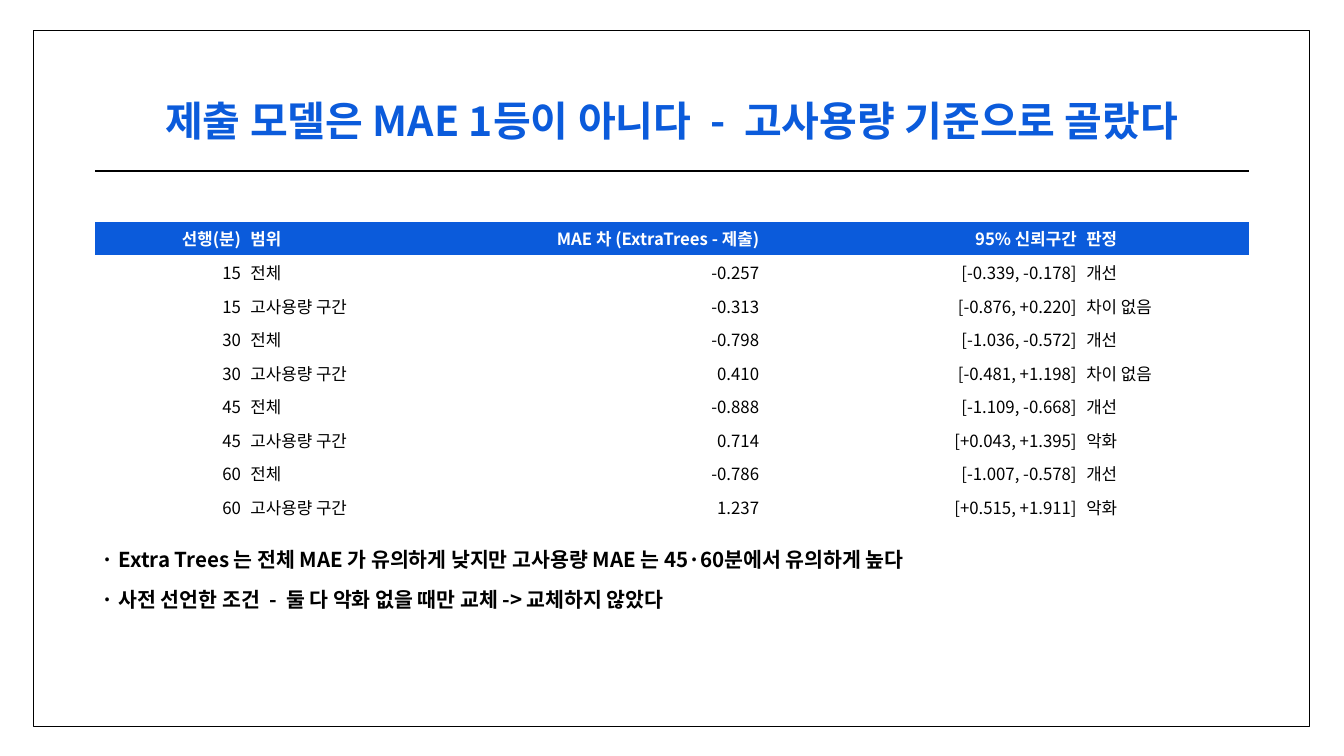
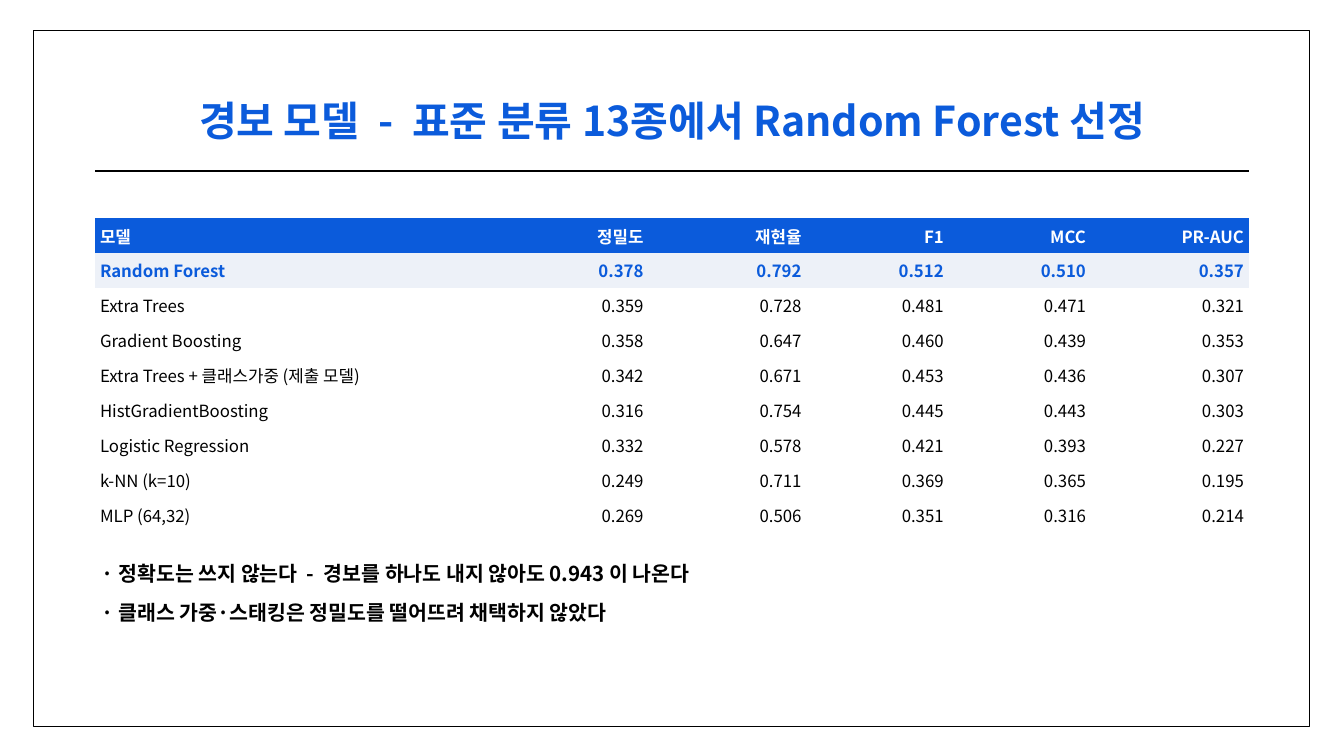
from lxml.etree import SubElement
from pptx import Presentation
from pptx.dml.color import RGBColor
from pptx.enum.shapes import MSO_CONNECTOR as CONN, MSO_SHAPE as SHAPE
from pptx.enum.text import MSO_ANCHOR as ANCHOR, MSO_AUTO_SIZE as AUTO, PP_ALIGN as ALIGN
from pptx.oxml.ns import qn
from pptx.util import Cm, Pt

BLUE = RGBColor(0x0B, 0x5B, 0xDB)
PALE = RGBColor(0xED, 0xF1, 0xF8)
BLACK = RGBColor(0, 0, 0)
WHITE = RGBColor(0xFF, 0xFF, 0xFF)
FONT = "Noto Sans CJK KR"
NO_STYLE = "{2D5ABB26-0587-4C30-8999-92F81FD0307C}"

SLIDE_W, SLIDE_H = 50.8, 28.58
FRAME = (1.27, 1.14, 48.23, 26.31)
TITLE = (5.08, 3.5, 40.64, 2.29)
LEFT, BODY_W = 3.6, 43.6
RULE_Y = 6.45
NOTES_H = 3.8

LEAD_TABLE = [
    ["선행(분)", "범위", "MAE 차 (ExtraTrees - 제출)", "95% 신뢰구간", "판정"],
    ["15", "전체", "-0.257", "[-0.339, -0.178]", "개선"],
    ["15", "고사용량 구간", "-0.313", "[-0.876, +0.220]", "차이 없음"],
    ["30", "전체", "-0.798", "[-1.036, -0.572]", "개선"],
    ["30", "고사용량 구간", "0.410", "[-0.481, +1.198]", "차이 없음"],
    ["45", "전체", "-0.888", "[-1.109, -0.668]", "개선"],
    ["45", "고사용량 구간", "0.714", "[+0.043, +1.395]", "악화"],
    ["60", "전체", "-0.786", "[-1.007, -0.578]", "개선"],
    ["60", "고사용량 구간", "1.237", "[+0.515, +1.911]", "악화"],
]
LEAD_NOTES = [
    "· Extra Trees 는 전체 MAE 가 유의하게 낮지만 고사용량 MAE 는 45·60분에서 유의하게 높다",
    "· 사전 선언한 조건  -  둘 다 악화 없을 때만 교체 -> 교체하지 않았다",
]
ALARM_TABLE = [
    ["모델", "정밀도", "재현율", "F1", "MCC", "PR-AUC"],
    ["Random Forest", "0.378", "0.792", "0.512", "0.510", "0.357"],
    ["Extra Trees", "0.359", "0.728", "0.481", "0.471", "0.321"],
    ["Gradient Boosting", "0.358", "0.647", "0.460", "0.439", "0.353"],
    ["Extra Trees + 클래스가중 (제출 모델)", "0.342", "0.671", "0.453", "0.436", "0.307"],
    ["HistGradientBoosting", "0.316", "0.754", "0.445", "0.443", "0.303"],
    ["Logistic Regression", "0.332", "0.578", "0.421", "0.393", "0.227"],
    ["k-NN (k=10)", "0.249", "0.711", "0.369", "0.365", "0.195"],
    ["MLP (64,32)", "0.269", "0.506", "0.351", "0.316", "0.214"],
]
ALARM_NOTES = [
    "· 정확도는 쓰지 않는다  -  경보를 하나도 내지 않아도 0.943 이 나온다",
    "· 클래스 가중·스태킹은 정밀도를 떨어뜨려 채택하지 않았다",
]


def style(p, size, color, bold=True, align=ALIGN.LEFT):
    p.alignment = align
    p.font.size = Pt(size)
    p.font.bold = bold
    p.font.color.rgb = color
    p.font.name = FONT
    props = p._p.pPr.find(qn("a:defRPr"))
    SubElement(props, qn("a:ea"), typeface=FONT)


def add_text(s, box, lines, size, color, align=ALIGN.LEFT, after=0):
    tf = s.shapes.add_textbox(*map(Cm, box)).text_frame
    tf.word_wrap = True
    tf.auto_size = AUTO.SHAPE_TO_FIT_TEXT
    for i, line in enumerate(lines):
        p = tf.add_paragraph() if i else tf.paragraphs[0]
        p.text = line
        p.space_after = Pt(after)
        style(p, size, color, align=align)


def add_frame(s, title):
    frame = s.shapes.add_shape(SHAPE.RECTANGLE, *map(Cm, FRAME))
    frame.shadow.inherit = False
    frame.fill.solid()
    frame.fill.fore_color.rgb = WHITE
    frame.line.color.rgb = BLACK
    frame.line.width = Pt(0.75)
    rule = s.shapes.add_connector(CONN.STRAIGHT, Cm(LEFT), Cm(RULE_Y), Cm(LEFT + BODY_W), Cm(RULE_Y))
    rule.line.color.rgb = BLACK
    rule.line.width = Pt(2.25)
    SubElement(rule._element.spPr, qn("a:effectLst"))
    add_text(s, TITLE, [title], 44, BLUE, ALIGN.CENTER)


def add_grid(s, top, row_h, rows, weights, left_cols, best_row):
    box = LEFT, top, BODY_W, row_h * len(rows)
    table = s.shapes.add_table(len(rows), len(weights), *map(Cm, box)).table
    table.horz_banding = False
    table._tbl.tblPr.find(qn("a:tableStyleId")).text = NO_STYLE
    for column, weight in zip(table.columns, weights):
        column.width = Cm(BODY_W * weight / sum(weights))
    for r, values in enumerate(rows):
        table.rows[r].height = Cm(row_h)
        if r == 0:
            fill, color = BLUE, WHITE
        elif r == best_row:
            fill, color = PALE, BLUE
        else:
            fill, color = WHITE, BLACK
        for c, value in enumerate(values):
            cell = table.cell(r, c)
            cell.fill.solid()
            cell.fill.fore_color.rgb = fill
            cell.vertical_anchor = ANCHOR.MIDDLE
            cell.margin_left = cell.margin_right = Cm(0.18)
            cell.margin_top = cell.margin_bottom = Cm(0.03 if r else 0.13)
            p = cell.text_frame.paragraphs[0]
            p.text = value
            align = ALIGN.LEFT if c in left_cols else ALIGN.RIGHT
            style(p, 18, color, r in (0, best_row), align)


def add_table_slide(prs, title, top, row_h, rows, weights, left_cols, notes, notes_top, best_row=None):
    s = prs.slides.add_slide(prs.slide_layouts[6])
    add_frame(s, title)
    add_grid(s, top, row_h, rows, weights, left_cols, best_row)
    add_text(s, (LEFT, notes_top, BODY_W, NOTES_H), notes, 22, BLACK, after=16)


def main():
    prs = Presentation()
    prs.slide_width, prs.slide_height = Cm(SLIDE_W), Cm(SLIDE_H)
    add_table_slide(prs, "제출 모델은 MAE 1등이 아니다  -  고사용량 기준으로 골랐다",
                    8.38, 1.27, LEAD_TABLE, (9, 13, 18, 19, 10), (1, 4), LEAD_NOTES, 20.57)
    add_table_slide(prs, "경보 모델  -  표준 분류 13종에서 Random Forest 선정",
                    8.25, 1.32, ALARM_TABLE, (25, 10, 10, 9, 9, 10), (0,), ALARM_NOTES, 21.08, best_row=1)
    prs.save("out.pptx")


if __name__ == "__main__":
    main()
